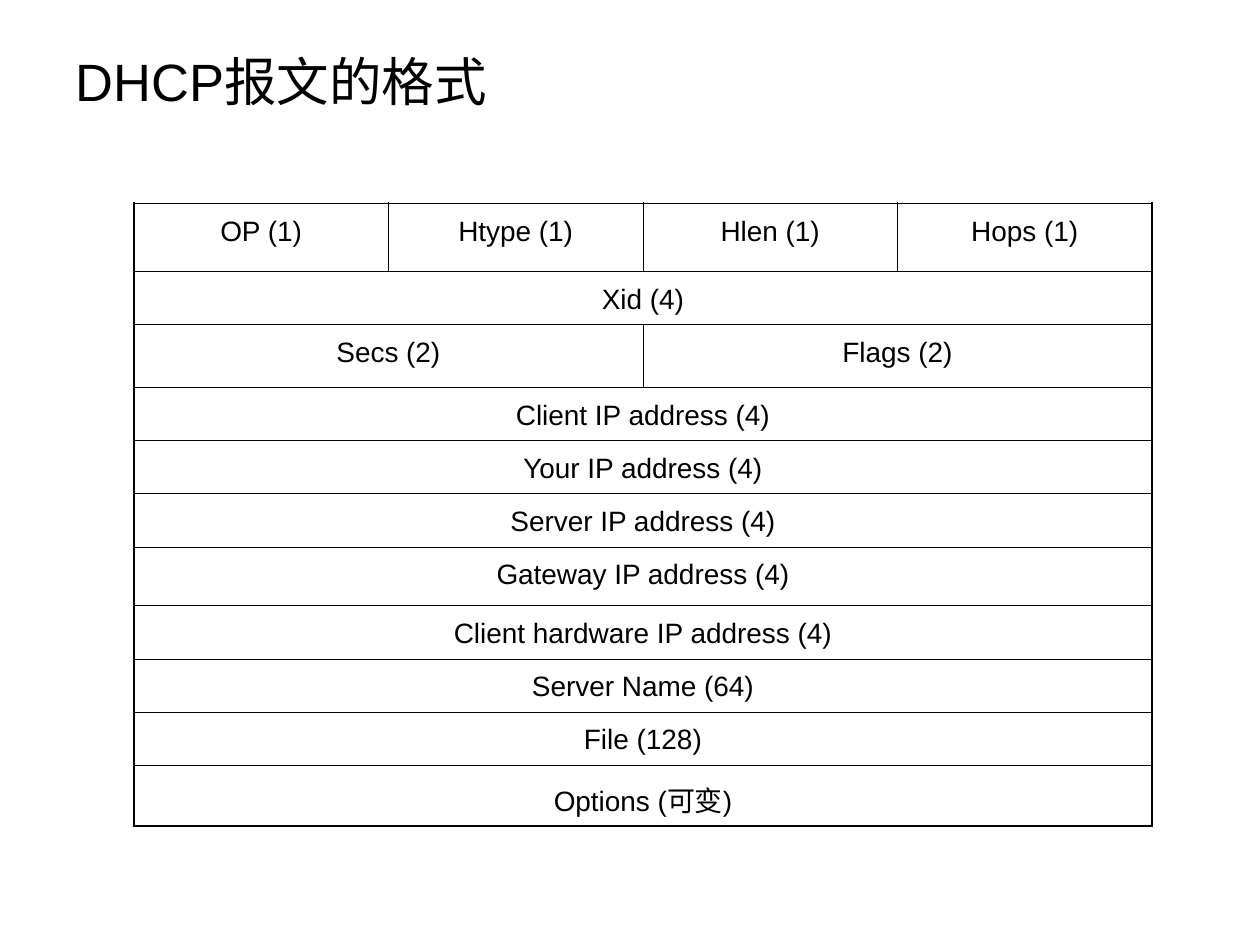
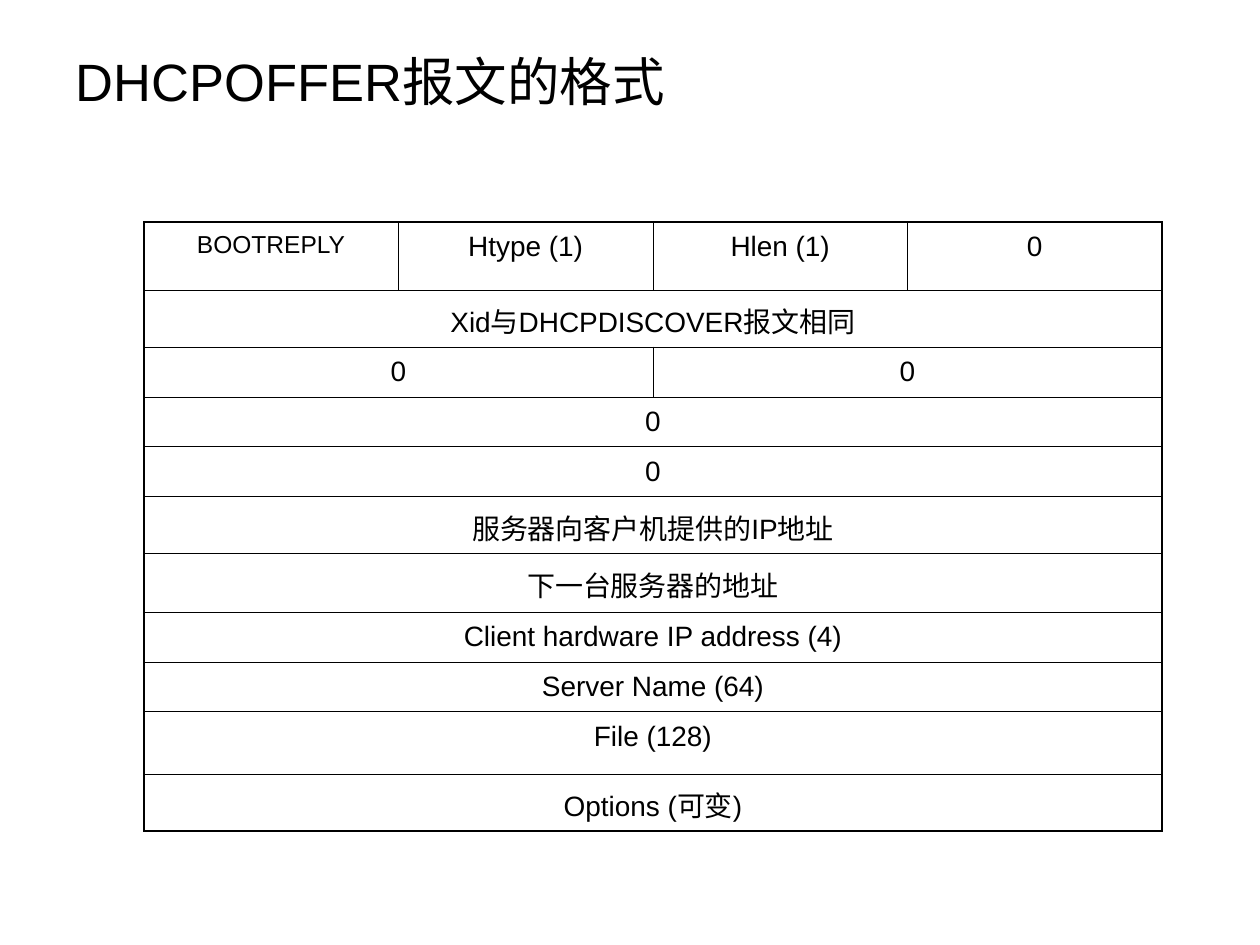
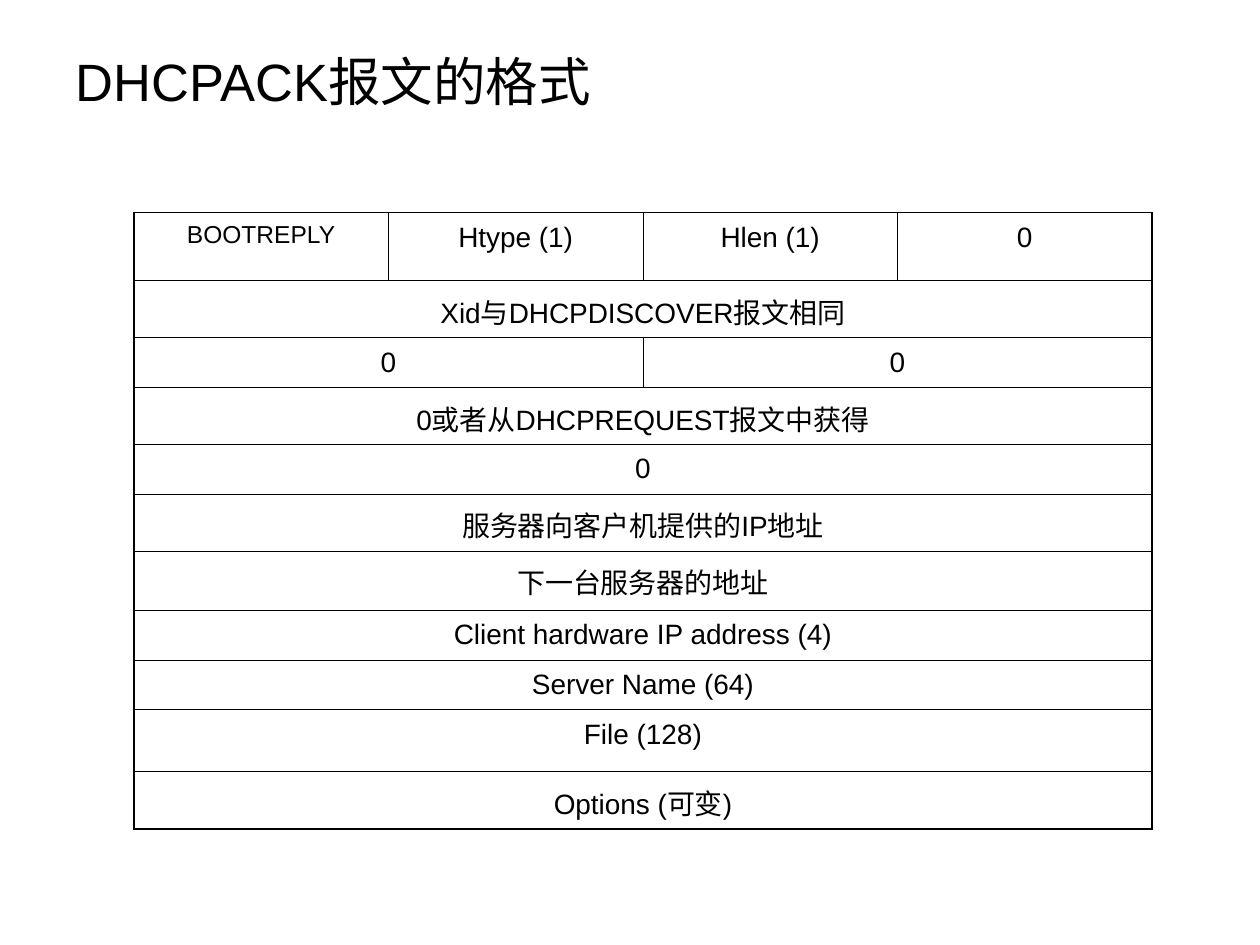
"""Build three slides that show the layout of DHCP messages."""
import dataclasses

import lxml.etree
import pptx
import pptx.dml.color
import pptx.enum.text
import pptx.oxml.ns
import pptx.util

Pt = pptx.util.Pt
Align = pptx.enum.text.PP_ALIGN


@dataclasses.dataclass(frozen=True)
class Theme:
    font: str = "Arial"
    ink: str = "000000"
    head: int = 30
    body: int = 16
    small: int = 14
    outer: float = 1.08
    inner: float = 0.45
    cols: int = 4
    width: float = 145.45


class Deck:
    def __init__(self, theme):
        self.theme = theme
        self.prs = pptx.Presentation()
        self.prs.slide_width = Pt(720)
        self.prs.slide_height = Pt(540)
        self.slide = None

    def text(self, par, words, size, align):
        par.alignment = align
        run = par.add_run()
        run.text = words
        run.font.name = self.theme.font
        run.font.size = Pt(size)
        run.font.color.rgb = pptx.dml.color.RGBColor.from_string(self.theme.ink)

    def title(self, words):
        self.slide = self.prs.slides.add_slide(self.prs.slide_layouts[5])
        box = self.slide.shapes.title
        box.left, box.top, box.width, box.height = Pt(36), Pt(15), Pt(590), Pt(61.5)
        frame = box.text_frame
        frame.word_wrap = True
        frame.auto_size = pptx.enum.text.MSO_AUTO_SIZE.NONE
        frame.vertical_anchor = pptx.enum.text.MSO_ANCHOR.MIDDLE
        self.text(frame.paragraphs[0], words, self.theme.head, Align.LEFT)

    def edge(self, cell, side, outer):
        qn = pptx.oxml.ns.qn
        width = Pt(self.theme.outer if outer else self.theme.inner)
        props = cell._tc.get_or_add_tcPr()
        line = lxml.etree.SubElement(props, qn("a:ln" + side), w=str(width))
        fill = lxml.etree.SubElement(line, qn("a:solidFill"))
        lxml.etree.SubElement(fill, qn("a:srgbClr"), val=self.theme.ink)

    def table(self, left, top, rows, lead):
        count, cols = len(rows), self.theme.cols
        high = sum(height for height, _ in rows)
        frame = self.slide.shapes.add_table(
            count, cols, Pt(left), Pt(top), Pt(cols * self.theme.width), Pt(high))
        grid = frame.table
        grid.first_row = grid.horz_banding = False
        for col in grid.columns:
            col.width = Pt(self.theme.width)
        for row, (height, fields) in enumerate(rows):
            grid.rows[row].height = Pt(height)
            span = cols // len(fields)
            for place, words in enumerate(fields):
                start = place * span
                end = start + span
                cell = grid.cell(row, start)
                if span > 1:
                    cell.merge(grid.cell(row, end - 1))
                for col in range(start, end):
                    part = grid.cell(row, col)
                    self.edge(part, "L", start == 0)
                    self.edge(part, "R", end == cols)
                    self.edge(part, "T", row == 0)
                    self.edge(part, "B", row == count - 1)
                    part.fill.background()
                self.field(cell, words, lead)

    def field(self, cell, words, lead):
        size = self.theme.small if words == "BOOTREPLY" else self.theme.body
        par = cell.text_frame.paragraphs[0]
        par.line_spacing = lead
        par.space_before = Pt(0)
        par.space_after = Pt(size / 4)
        self.text(par, words, size, Align.CENTER)


TAIL = ["Client hardware IP address (4)", "Server Name (64)", "File (128)", "Options (可变)"]


def query():
    """Return the rows of the general message."""
    fields = [
        ["OP (1)", "Htype (1)", "Hlen (1)", "Hops (1)"],
        ["Xid (4)"],
        ["Secs (2)", "Flags (2)"],
        ["Client IP address (4)"],
        ["Your IP address (4)"],
        ["Server IP address (4)"],
        ["Gateway IP address (4)"],
    ] + [[name] for name in TAIL]
    tall = {0: 39, 2: 36, 6: 33.7}
    return [(tall.get(row, 30.35), names) for row, names in enumerate(fields)]


def reply(client):
    """Return the rows of a server reply with the given client address."""
    fields = [
        ["BOOTREPLY", "Htype (1)", "Hlen (1)", "0"],
        ["Xid与DHCPDISCOVER报文相同"],
        ["0", "0"],
        [client],
        ["0"],
        ["服务器向客户机提供的IP地址"],
        ["下一台服务器的地址"],
    ] + [[name] for name in TAIL]
    tall = {0: 39, 6: 33.7, 9: 35.5}
    return [(tall.get(row, 28.45), names) for row, names in enumerate(fields)]


def main():
    deck = Deck(Theme())
    pages = [
        ("DHCP", 76.5, 116.2, query(), 1.2),
        ("DHCPOFFER", 82.2, 126.8, reply("0"), 1.1),
        ("DHCPACK", 76.5, 121.4, reply("0或者从DHCPREQUEST报文中获得"), 1.1),
    ]
    for name, left, top, rows, lead in pages:
        deck.title(name + "报文的格式")
        deck.table(left, top, rows, lead)
    deck.prs.save("out.pptx")


if __name__ == "__main__":
    main()
